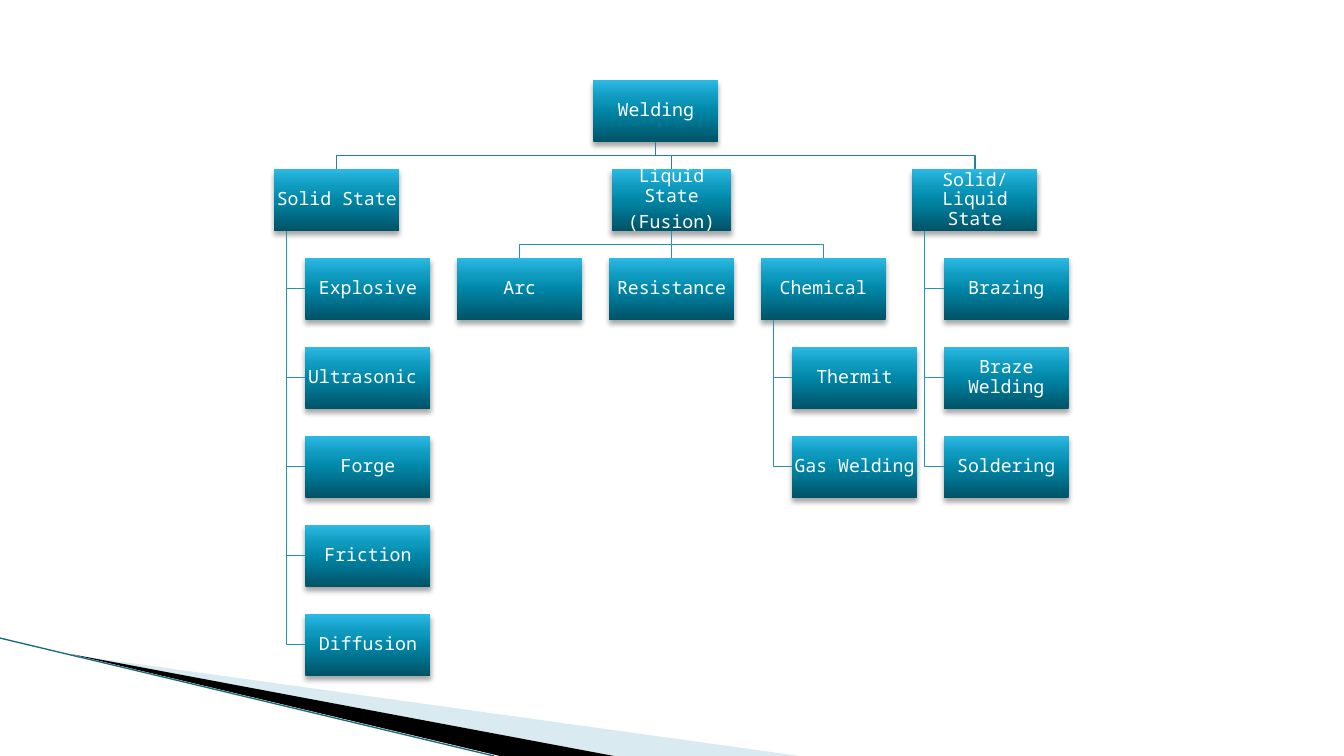
from collections import defaultdict
from dataclasses import dataclass

from lxml import etree
from pptx import Presentation
from pptx import util as u
from pptx.dml.color import RGBColor
from pptx.enum import shapes, text
from pptx.oxml.ns import qn

# Content: (label, children); lines of a label become paragraphs
CHART = ("Welding", [
    ("Solid State", [
        ("Explosive", []), ("Ultrasonic ", []), ("Forge", []),
        ("Friction", []), ("Diffusion", [])]),
    ("Liquid State\n(Fusion)", [
        ("Arc", []),
        ("Resistance", []),
        ("Chemical", [("Thermit", []), ("Gas Welding", [])])]),
    ("Solid/Liquid State", [
        ("Brazing", []), ("Braze Welding", []), ("Soldering", [])]),
])
HANGING = {"Solid State", "Chemical", "Solid/Liquid State"}
WIDTHS = {"Liquid State\n(Fusion)": 1.19}

# Corner decoration, as outlines in inches
PALE_WEDGE = [(0.73, 6.5), (7.93, 7.5), (6.08, 7.5)]
DARK_WEDGE = [(0.71, 6.49), (6.09, 7.5), (4.96, 7.5)]
EDGE_LINE = [(0, 6.33), (4.9, 7.5)]


@dataclass(frozen=True)
class Theme:
    font: str = "Noto Sans Mono"
    size: float = 13
    label: str = "FFFFFF"
    gradient: tuple = ((0, "005367"), (50, "0086A7"), (70, "0E9ABE"), (100, "2CB9E3"))
    top_link: str = "248299"
    link: str = "2993AD"
    link_width: float = 0.75
    pale: str = "A0CBDC"
    dark: str = "000000"
    edge: str = "1A6B7C"


THEME = Theme()

# Grid of the tree, in inches
LEFT, TOP = 2.72, 0.79
BOX_W, BOX_H = 1.24, 0.62
COLUMN, ROW = 1.505, 0.883
INDENT, SPINE = BOX_W / 4, BOX_W / 10

deck = Presentation()
deck.slide_width, deck.slide_height = u.Inches(13.33), u.Inches(7.5)
slide = deck.slides.add_slide(deck.slide_layouts[6])


def add_child(parent, tag, **attributes):
    return etree.SubElement(parent, qn(tag), {k: str(v) for k, v in attributes.items()})


def outline(points, close):
    (x, y), *rest = [(u.Inches(px), u.Inches(py)) for px, py in points]
    builder = slide.shapes.build_freeform(x, y)
    builder.add_line_segments(rest, close=close)
    drawn = builder.convert_to_shape()
    drawn.shadow.inherit = False
    return drawn


def wedge(points, color, alpha=100):
    area = outline(points, True)
    area.line.fill.background()
    area.fill.solid()
    area.fill.fore_color.rgb = RGBColor.from_string(color)
    add_child(area._element.spPr.find(".//" + qn("a:srgbClr")), "a:alpha", val=alpha * 1000)


def straight(start, end):
    line = slide.shapes.add_connector(
        shapes.MSO_CONNECTOR.STRAIGHT, *(u.Inches(v) for v in (*start, *end)))
    add_child(line._element.spPr, "a:effectLst")
    return line


def stroke(drawn, color, width):
    drawn.line.color.rgb = RGBColor.from_string(color)
    drawn.line.width = u.Pt(width)


def box(label, left, row):
    card = slide.shapes.add_shape(
        shapes.MSO_SHAPE.RECTANGLE, u.Inches(left), u.Inches(TOP + row * ROW),
        u.Inches(WIDTHS.get(label, BOX_W)), u.Inches(BOX_H))
    card.line.fill.background()
    card.fill.gradient()
    card.fill.gradient_angle = 90
    stops = card._element.spPr.find(".//" + qn("a:gsLst"))
    for default_stop in list(stops):
        stops.remove(default_stop)
    for position, color in THEME.gradient:
        add_child(add_child(stops, "a:gs", pos=position * 1000), "a:srgbClr", val=color)

    # Soft shadow straight below
    card.shadow.inherit = False
    shade = add_child(card._element.spPr.find(qn("a:effectLst")), "a:outerShdw",
                      blurRad=u.Pt(4), dist=u.Pt(3), dir=90 * 60000, rotWithShape=0)
    add_child(add_child(shade, "a:srgbClr", val="000000"), "a:alpha", val=35000)

    frame = card.text_frame
    frame.word_wrap = True
    frame.vertical_anchor = text.MSO_ANCHOR.MIDDLE
    frame.margin_left = frame.margin_right = u.Inches(0.01)
    frame.margin_top = frame.margin_bottom = u.Inches(0.01)
    frame.text = label
    for paragraph in frame.paragraphs:
        paragraph.alignment = text.PP_ALIGN.CENTER
        paragraph.line_spacing = 0.9
        paragraph.space_after = u.Pt(0.35 * THEME.size)
        paragraph.font.name = THEME.font
        paragraph.font.size = u.Pt(THEME.size)
        paragraph.font.color.rgb = RGBColor.from_string(THEME.label)
    return card


free = defaultdict(lambda: LEFT)  # first free left edge in each row


def place(node, row=0):
    """Place a branch and return its top box and the box's centre."""
    label, children = node
    bottom = TOP + row * ROW + BOX_H
    if label in HANGING or not children:
        below = range(row + 1, row + 1 + len(children))
        left = max([free[row]] + [free[r] - INDENT for r in below])
        card = box(label, left, row)
        free[row] = left + COLUMN
        for r, (name, _) in zip(below, children):
            box(name, left + INDENT, r)
            free[r] = left + INDENT + COLUMN
            middle = TOP + r * ROW + BOX_H / 2
            link = outline([(left + SPINE, bottom), (left + SPINE, middle),
                            (left + INDENT, middle)], False)
            link.fill.background()
            stroke(link, THEME.link, THEME.link_width)
        return card, left + BOX_W / 2

    # Children side by side, parent centred above them
    placed = [place(child, row + 1) for child in children]
    center = (placed[0][1] + placed[-1][1]) / 2
    width = WIDTHS.get(label, BOX_W)
    card = box(label, center - width / 2, row)
    free[row] = center - width / 2 + COLUMN
    next_top = TOP + (row + 1) * ROW
    bend = (bottom + next_top) / 2
    for child, x in placed:
        if abs(x - center) < 0.01:
            link = straight((center, bottom), (x, next_top))
            link.begin_connect(card, 2)
            link.end_connect(child, 0)
        else:
            link = outline([(center, bottom), (center, bend), (x, bend), (x, next_top)], False)
            link.fill.background()
        stroke(link, THEME.link if row else THEME.top_link, THEME.link_width)
    return card, center


# Corner decoration
wedge(PALE_WEDGE, THEME.pale, 40)
wedge(DARK_WEDGE, THEME.dark)
stroke(straight(*EDGE_LINE), THEME.edge, 0.95)

# Welding tree
place(CHART)

deck.save("out.pptx")
